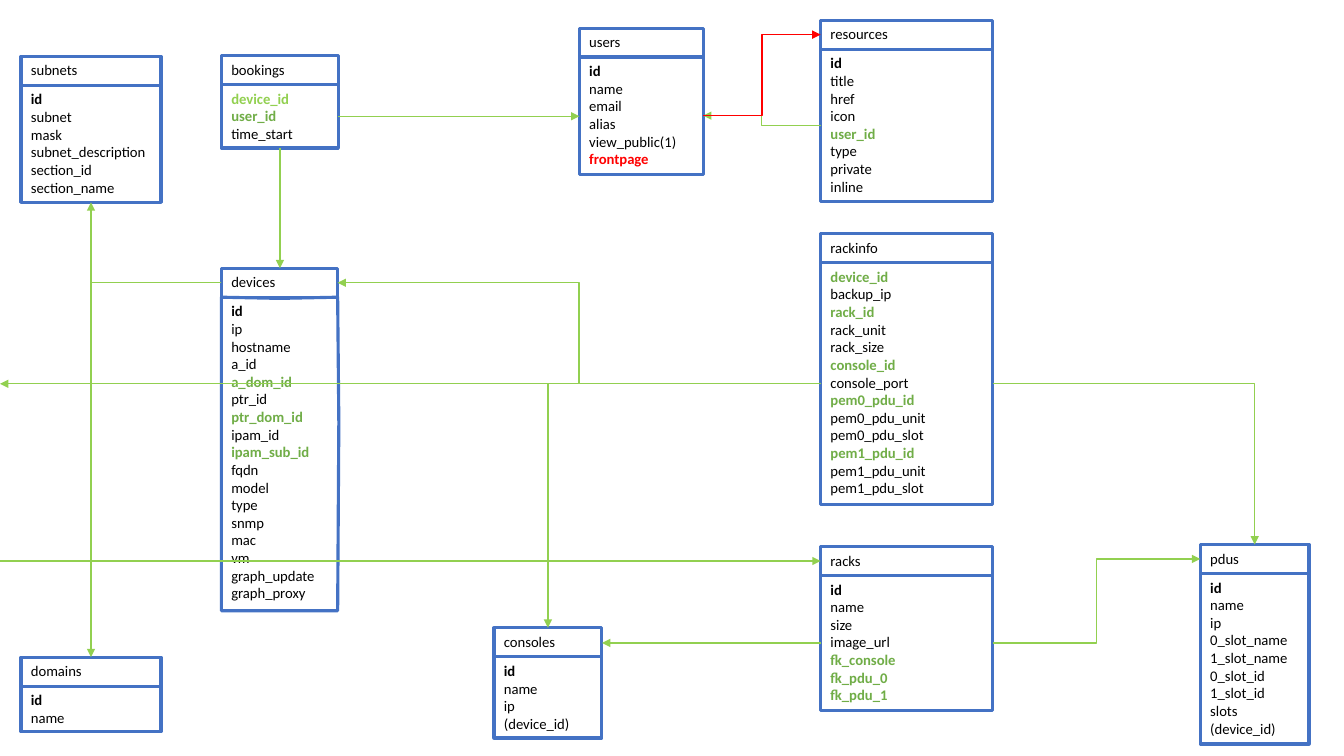
from lxml import etree
from pptx import Presentation
from pptx.dml.color import RGBColor
from pptx.enum.shapes import MSO_CONNECTOR, MSO_SHAPE
from pptx.enum.text import MSO_ANCHOR, PP_ALIGN
from pptx.oxml.ns import qn
from pptx.util import Cm, Pt

RECTANGLE = MSO_SHAPE.RECTANGLE
STRAIGHT, ELBOW = MSO_CONNECTOR.STRAIGHT, MSO_CONNECTOR.ELBOW
LEFT, TOP = PP_ALIGN.LEFT, MSO_ANCHOR.TOP

COLOURS = {"border": "4472C4", "text": "000000", "key": "70AD47",
           "link": "92D050", "alert": "FF0000"}
MARKS = {"*": "text", "+": "key", "~": "link", "!": "alert"}
FONT, FONT_SIZE = "Calibri", 10.5
HEADER, ROW, PADDING = 0.73, 0.45, 0.25

TABLES = {
    "consoles": (12.45, 15.82, 2.72, "*id name ip (device_id)"),
    "devices": (5.58, 6.76, 2.93,
                "*id ip hostname a_id +a_dom_id ptr_id +ptr_dom_id ipam_id "
                "+ipam_sub_id fqdn model type snmp mac vm graph_update graph_proxy"),
    "domains": (0.53, 16.56, 3.53, "*id name"),
    "rackinfo": (20.68, 5.89, 4.34,
                 "+device_id backup_ip +rack_id rack_unit rack_size +console_id "
                 "console_port +pem0_pdu_id pem0_pdu_unit pem0_pdu_slot "
                 "+pem1_pdu_id pem1_pdu_unit pem1_pdu_slot"),
    "pdus": (30.25, 13.72, 2.74,
             "*id name ip 0_slot_name 1_slot_name 0_slot_id 1_slot_id slots (device_id)"),
    "bookings": (5.58, 1.4, 2.95, "~device_id +user_id time_start"),
    "racks": (20.68, 13.77, 4.34,
              "*id name size image_url +fk_console +fk_pdu_0 +fk_pdu_1"),
    "resources": (20.68, 0.51, 4.34,
                  "*id title href icon +user_id type private inline"),
    "subnets": (0.53, 1.42, 3.53,
                "*id subnet mask subnet_description section_id section_name"),
    "users": (14.6, 0.71, 3.12, "*id name email alias view_public(1) !frontpage"),
}
LINKS = [
    ("bookings body right", "users body left", "level", "link"),
    ("bookings body bottom", "devices header top", "upright", "link"),
    ("rackinfo body left", "edge", "level", "link"),
    ("edge", "racks header left", "level", "link"),
    ("devices header left", "subnets body bottom", "corner", "link"),
    ("devices header left", "domains header top", "corner", "link"),
    ("rackinfo body left", "devices header right", "step", "link"),
    ("rackinfo body left", "consoles header top", "corner", "link"),
    ("rackinfo body right", "pdus header top", "corner", "link"),
    ("resources body left", "users body right", "step", "link"),
    ("users body right", "resources header left", "step", "alert"),
    ("racks body left", "consoles body right", "level", "link"),
    ("racks body right", "pdus header left", "step", "link"),
]


def colour(name):
    return RGBColor.from_string(COLOURS[name])


def part_box(table, part):
    left, top, width, fields = TABLES[table]
    if part == "header":
        return left, top, width, HEADER
    return left, top + HEADER, width, PADDING + ROW * len(fields.split())


def anchor(place):
    if place == "edge":
        return None
    table, part, side = place.split()
    left, top, width, height = part_box(table, part)
    return {"left": (left, top + height / 2),
            "right": (left + width, top + height / 2),
            "top": (left + width / 2, top),
            "bottom": (left + width / 2, top + height)}[side]


def bowed_outline(shapes, left, top, width, height):
    right, bottom = left + width, top + height
    points = [(left + width / 2, top + 0.03), (right, top),
              (right + 0.03, top + height * 0.4), (right, bottom), (left, bottom)]
    builder = shapes.build_freeform(Cm(left), Cm(top))
    builder.add_line_segments([(Cm(x), Cm(y)) for x, y in points], close=True)
    return builder.convert_to_shape()


def add_part(shapes, table, part, lines):
    place = part_box(table, part)
    if (table, part) == ("devices", "body"):
        box = bowed_outline(shapes, *place)
    else:
        box = shapes.add_shape(RECTANGLE, *map(Cm, place))
    box.shadow.inherit = False
    box.fill.background()
    box.line.color.rgb = colour("border")
    box.line.width = Pt(2.25)
    frame = box.text_frame
    frame.word_wrap = True
    frame.vertical_anchor = TOP
    frame.text = "\n".join(line.lstrip("*+~!") for line in lines)
    for para, line in zip(frame.paragraphs, lines):
        para.alignment = LEFT
        font = para.runs[0].font
        font.name, font.size = FONT, Pt(FONT_SIZE)
        font.bold = line[0] in MARKS
        font.color.rgb = colour(MARKS.get(line[0], "text"))


def add_link(shapes, source, target, route, tint):
    start, end = anchor(source), anchor(target)
    start = start or (0, end[1])
    end = end or (0, start[1])
    if route == "level":
        end = (end[0], start[1])
    elif route == "upright":
        end = (start[0], end[1])
    kind = STRAIGHT if route in ("level", "upright") else ELBOW
    link = shapes.add_connector(kind, *map(Cm, start + end))
    link.line.color.rgb = colour(tint)
    link.line.width = Pt(1)
    properties = link._element.spPr
    if route == "corner":
        properties.find(qn("a:prstGeom")).set("prst", "bentConnector2")
    etree.SubElement(link.line._get_or_add_ln(), qn("a:tailEnd"), type="triangle")
    etree.SubElement(properties, qn("a:effectLst"))


def main():
    deck = Presentation()
    deck.slide_width, deck.slide_height = Cm(33.87), Cm(19.05)
    page = deck.slides.add_slide(deck.slide_layouts[6])
    for table, (_, _, _, fields) in TABLES.items():
        group = page.shapes.add_group_shape()
        add_part(group.shapes, table, "header", [table])
        add_part(group.shapes, table, "body", fields.split())
    for link in LINKS:
        add_link(page.shapes, *link)
    deck.save("out.pptx")


if __name__ == "__main__":
    main()
